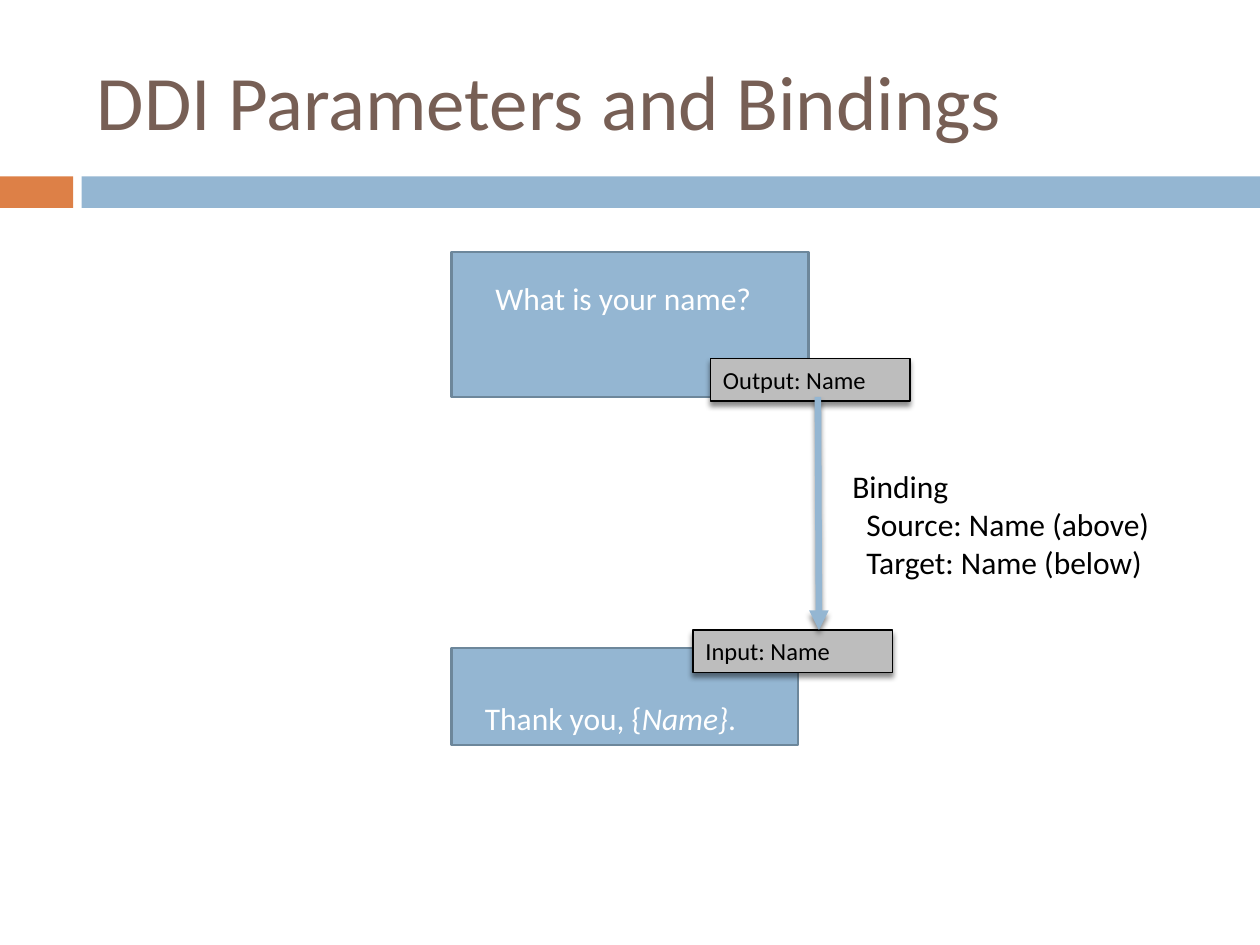
from dataclasses import dataclass

from lxml import etree
from pptx import Presentation
from pptx.dml.color import RGBColor
from pptx.enum import shapes, text
from pptx.oxml import ns
from pptx.util import Pt


@dataclass(frozen=True)
class Theme:
    font: str = "Calibri"
    title_size: float = 44
    body_size: float = 18
    tag_size: float = 14
    title: str = "775F55"
    accent: str = "DD8047"
    blue: str = "94B6D2"
    outline: str = "6D879B"
    tag: str = "BDBDBD"
    black: str = "000000"
    white: str = "FFFFFF"


THEME = Theme()


def set_values(target, values):
    for name, value in values.items():
        setattr(target, name, value)


def add_element(parent, tag, **attributes):
    return etree.SubElement(parent, ns.qn(tag), attributes)


def add_shadow(effects):
    shadow = add_element(effects, "a:outerShdw", blurRad=str(Pt(3)), dist=str(Pt(2.4)),
                         dir="5400000", rotWithShape="0")
    color = add_element(shadow, "a:srgbClr", val=THEME.black)
    add_element(color, "a:alpha", val="45000")


def add_rectangle(slide, box, fill, line=None, width=0):
    shape = slide.shapes.add_shape(shapes.MSO_SHAPE.RECTANGLE, *map(Pt, box))
    shape.shadow.inherit = False
    shape.fill.solid()
    shape.fill.fore_color.rgb = RGBColor.from_string(fill)
    if line:
        shape.line.color.rgb = RGBColor.from_string(line)
        shape.line.width = Pt(width)
    else:
        shape.line.fill.background()
    return shape


def write(shape, paragraphs, size, color, anchor=text.MSO_ANCHOR.TOP):
    """Each paragraph is (indent, [(words, italic), ...])."""
    frame = shape.text_frame
    set_values(frame, {"word_wrap": True, "vertical_anchor": anchor})
    for index, (indent, runs) in enumerate(paragraphs):
        paragraph = frame.add_paragraph() if index else frame.paragraphs[0]
        paragraph.alignment = text.PP_ALIGN.LEFT
        if indent:
            paragraph._p.get_or_add_pPr().set("marL", str(Pt(indent)))
        for words, italic in runs:
            run = paragraph.add_run()
            run.text = words
            set_values(run.font, {"name": THEME.font, "size": Pt(size), "italic": italic})
            run.font.color.rgb = RGBColor.from_string(color)


def add_text(slide, box, *content, **options):
    write(slide.shapes.add_textbox(*map(Pt, box)), *content, **options)


def plain(words, indent=0):
    return indent, [(words, False)]


def add_header(slide, box):
    left, top, width, height = box
    # Colour band: short accent, gap, long bar
    band_top, band_height, accent_width, bar_left = top + 100.8, 18, 41.9, 46.6
    add_rectangle(slide, (left, band_top, accent_width, band_height), THEME.accent)
    add_rectangle(slide, (left + bar_left, band_top, width - bar_left, band_height), THEME.blue)
    # Title
    add_text(slide, (left + 48.2, top + 18, 642.2, 77.8), [plain("DDI Parameters and Bindings")],
             THEME.title_size, THEME.title, anchor=text.MSO_ANCHOR.MIDDLE)


def add_question(slide, box, text_box, runs, anchor):
    left, top, width, height = box
    add_rectangle(slide, box, THEME.blue, THEME.outline, 1.5)
    dx, dy, text_width, text_height = text_box
    add_text(slide, (left + dx, top + dy, text_width, text_height), [(0, runs)],
             THEME.body_size, THEME.white, anchor=anchor)


def add_tag(slide, box, words):
    shape = add_rectangle(slide, box, THEME.tag, THEME.black, 0.79)
    add_shadow(shape._element.spPr.find(ns.qn("a:effectLst")))
    write(shape, [plain(words)], THEME.tag_size, THEME.black)


def add_arrow(slide, start, end):
    connector = slide.shapes.add_connector(shapes.MSO_CONNECTOR.STRAIGHT,
                                           *map(Pt, (*start, *end)))
    connector.line.color.rgb = RGBColor.from_string(THEME.blue)
    connector.line.width = Pt(3.75)
    add_element(connector.line._get_or_add_ln(), "a:tailEnd", type="triangle")
    add_shadow(add_element(connector._element.spPr, "a:effectLst"))


def add_diagram(slide, box):
    left, top, width, height = box
    # Questions
    add_question(slide, (left, top, 204, 82.8), (18, 12, 186, 29),
                 [("What is your name?", False)], text.MSO_ANCHOR.TOP)
    # Binding description
    add_text(slide, (left + 222, top + 119.5, 207.4, 72.7),
             [plain("Binding"), plain("Source: Name (above)", 8),
              plain("Target: Name (below)", 8)], THEME.body_size, THEME.black)
    add_question(slide, (left, top + 226.2, 198, 55.6), (12, 3.6, 186, 51),
                 [("Thank you, {", False), ("Name}", True), (".", False)],
                 text.MSO_ANCHOR.BOTTOM)
    # Parameters
    add_tag(slide, (left + 148, top + 61, 114, 24.2), "Output: Name")
    add_tag(slide, (left + 138, top + 216, 114, 24.2), "Input: Name")
    # Binding arrow
    add_arrow(slide, (left + 209.4, top + 82.8), (left + 210, top + 216))


def main():
    presentation = Presentation()
    set_values(presentation, {"slide_width": Pt(720), "slide_height": Pt(540)})
    slide = presentation.slides.add_slide(presentation.slide_layouts[6])
    add_header(slide, (0, 0, 720, 119))
    add_diagram(slide, (258, 144, 430, 282))
    presentation.save("out.pptx")


if __name__ == "__main__":
    main()
